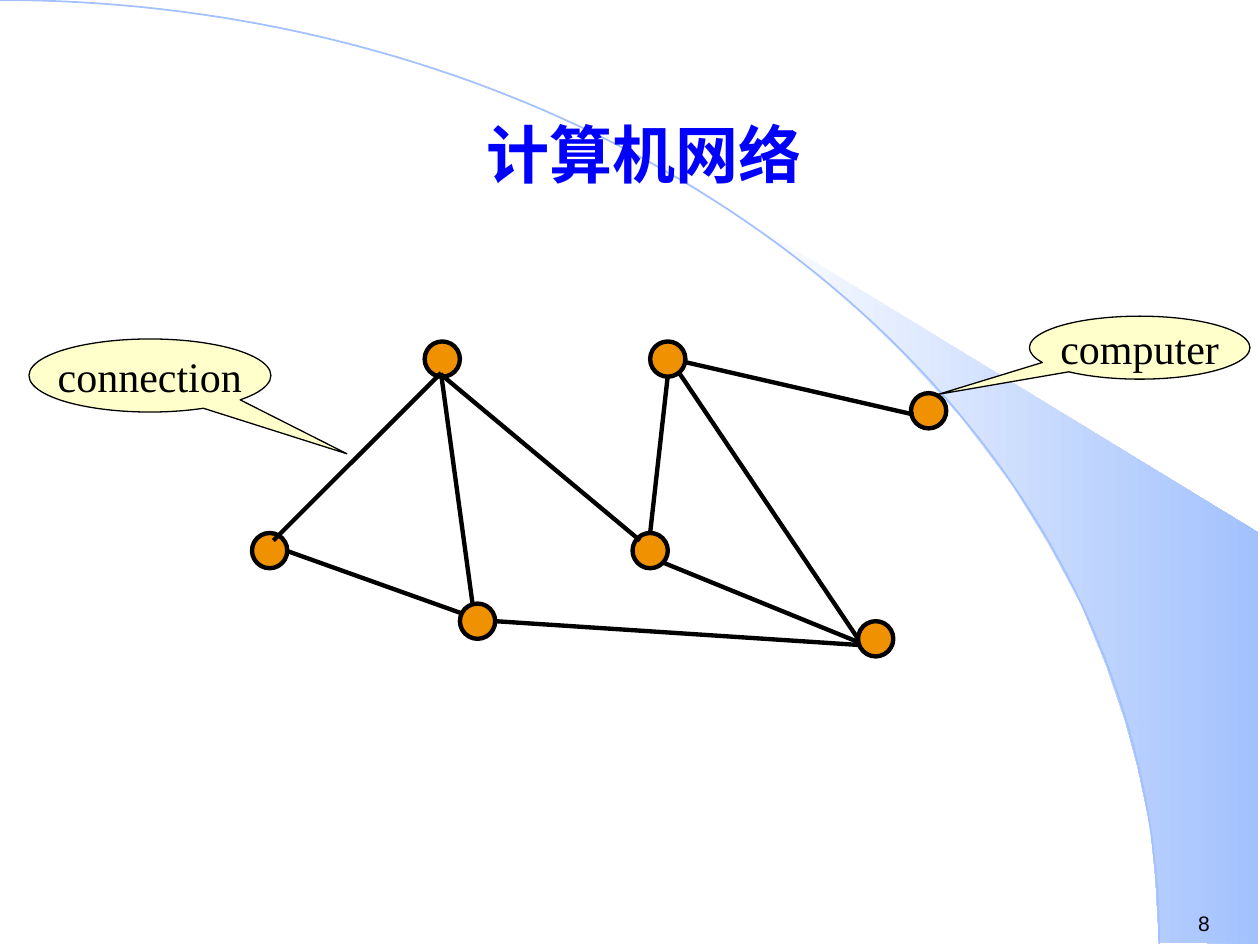
import math
import pptx
import pptx.util
import pptx.dml.color
import pptx.enum.shapes
import pptx.enum.text
import pptx.oxml.ns
import lxml.etree

Inches = pptx.util.Inches
Shape = pptx.enum.shapes.MSO_SHAPE
Align = pptx.enum.text.PP_ALIGN


def color(value):
    return pptx.dml.color.RGBColor.from_string(value)


def write(box, text, size, font, ink, align):
    frame = box.text_frame
    frame.vertical_anchor = pptx.enum.text.MSO_ANCHOR.MIDDLE
    para = frame.paragraphs[0]
    para.alignment = align
    span = para.add_run()
    span.text = text
    span.font.size = pptx.util.Pt(size)
    span.font.name = font
    span.font.color.rgb = color(ink)
    return span


deck = pptx.Presentation()
deck.slide_width = Inches(10)
deck.slide_height = Inches(7.5)
page = deck.slides.add_slide(deck.slide_layouts[5])
shapes = page.shapes

beam_points = [
    (9.2, 7.48), (9.99, 7.49), (9.99, 4.23), (5.89, 1.73), (6.24, 1.99),
    (6.53, 2.22), (6.85, 2.5), (7.16, 2.8), (7.62, 3.3), (8.03, 3.84),
    (8.32, 4.31), (8.58, 4.79), (8.78, 5.28), (8.93, 5.72), (9.03, 6.09),
    (9.13, 6.56), (9.17, 6.96),
]
outline = [(Inches(x), Inches(y)) for x, y in beam_points]
builder = shapes.build_freeform(*outline[0])
builder.add_line_segments(outline[1:], close=True)
beam = builder.convert_to_shape()
beam.shadow.inherit = False
beam.fill.gradient()
beam.fill.gradient_angle = 0
for stop, shade, position in zip(beam.fill.gradient_stops, ["FFFFFF", "A2C1FE"], [0, 1]):
    stop.color.rgb = color(shade)
    stop.position = position
beam.line.fill.background()

steps = 90
angles = [math.pi / 2 * step / steps for step in range(steps + 1)]
curve = [(Inches(9.2 * math.sin(a)), Inches(7.49 * (1 - math.cos(a)))) for a in angles]
builder = shapes.build_freeform(*curve[0])
builder.add_line_segments(curve[1:], close=False)
arc = builder.convert_to_shape()
arc.shadow.inherit = False
arc.fill.background()
arc.line.color.rgb = color("A2C1FE")
arc.line.width = pptx.util.Pt(1)

number = shapes.add_textbox(Inches(9.41), Inches(7.18), Inches(0.59), Inches(0.3))
number.text_frame.word_wrap = True
write(number, "8", 12, "Arial", "000000", Align.LEFT)

title = shapes.title
title.left, title.top = Inches(0.9), Inches(0.84)
title.width, title.height = Inches(8.42), Inches(0.75)
write(title, "计算机网络", 36, "Times New Roman", "0000FF", Align.CENTER).font.bold = True
title.element.getparent().append(title.element)

links = [
    (3.5, 2.96, 2.17, 4.29), (3.51, 2.98, 5.08, 4.29), (2.27, 4.37, 3.67, 4.87),
    (5.3, 2.98, 5.16, 4.23), (3.93, 4.93, 6.83, 5.12), (7.25, 3.29, 5.42, 2.87),
    (5.25, 4.46, 6.87, 5.12), (3.5, 2.96, 3.75, 4.79), (5.33, 2.87, 6.81, 5.07),
]
back_nodes = [(5.02, 4.23), (7.23, 3.12), (3.37, 2.71), (3.65, 4.79), (2, 4.23)]
front_nodes = [(6.81, 4.93), (5.16, 2.71)]

for item in back_nodes + links + front_nodes:
    if len(item) == 4:
        part = shapes.add_connector(
            pptx.enum.shapes.MSO_CONNECTOR.STRAIGHT, *[Inches(value) for value in item])
        properties = part.element.spPr
        lxml.etree.SubElement(properties, pptx.oxml.ns.qn("a:effectLst"))
    else:
        left, top = item
        part = shapes.add_shape(Shape.OVAL, Inches(left), Inches(top), Inches(0.28), Inches(0.28))
        part.shadow.inherit = False
        part.fill.solid()
        part.fill.fore_color.rgb = color("EF9100")
    part.line.color.rgb = color("000000")
    part.line.width = pptx.util.Pt(2.5)

callouts = [
    ("computer", 8.17, 2.51, 1.75, 0.5, -0.912, 0.74),
    ("connection", 0.23, 2.69, 1.92, 0.58, 0.814, 1.071),
]
for text, left, top, width, height, tip_x, tip_y in callouts:
    callout = shapes.add_shape(
        Shape.OVAL_CALLOUT, Inches(left), Inches(top), Inches(width), Inches(height))
    callout.adjustments[0] = tip_x
    callout.adjustments[1] = tip_y
    callout.shadow.inherit = False
    callout.fill.solid()
    callout.fill.fore_color.rgb = color("FFFFCC")
    callout.line.color.rgb = color("000000")
    callout.line.width = pptx.util.Pt(0.75)
    callout.text_frame.word_wrap = False
    write(callout, text, 24, "Times New Roman", "000000", Align.CENTER)

deck.save("out.pptx")
